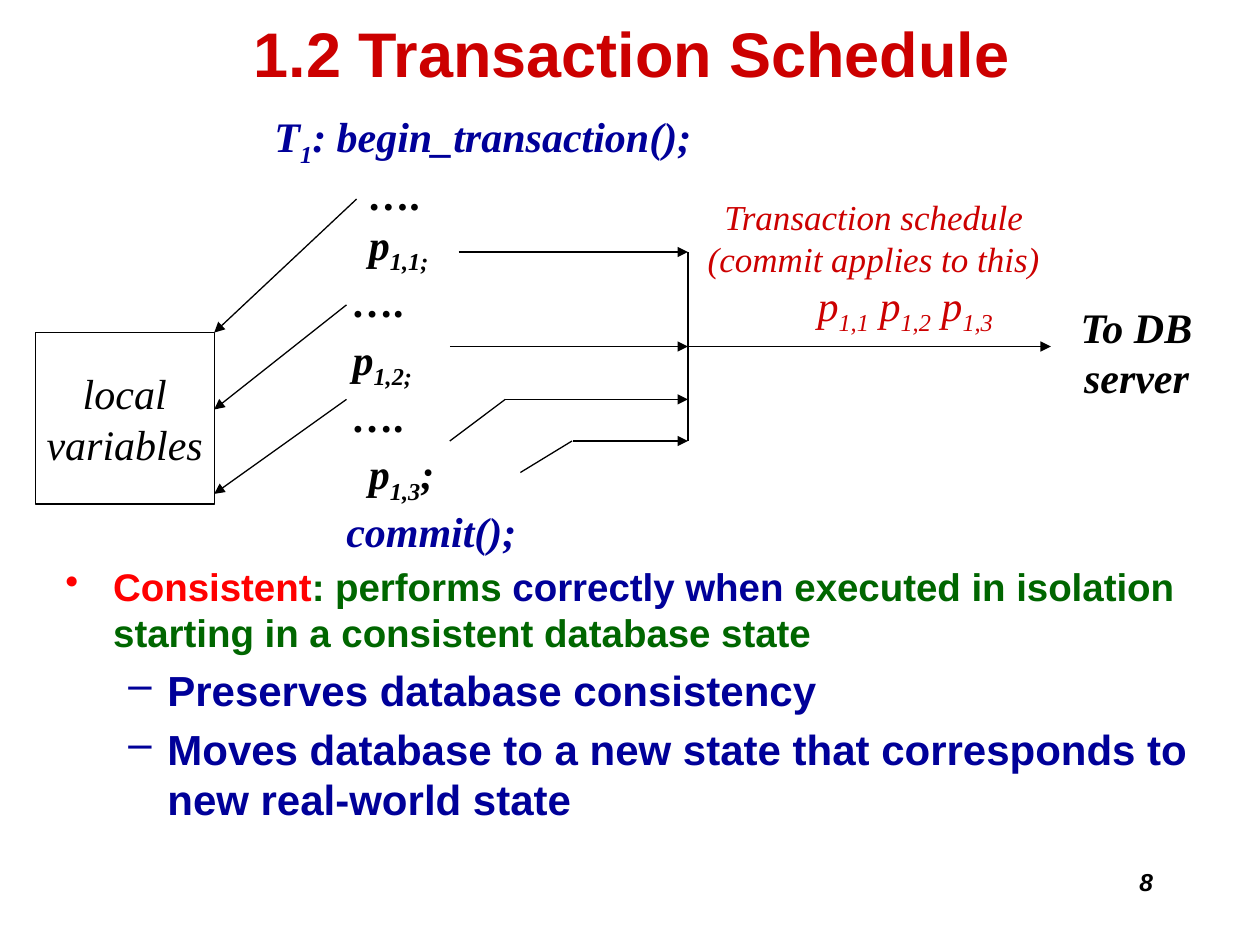
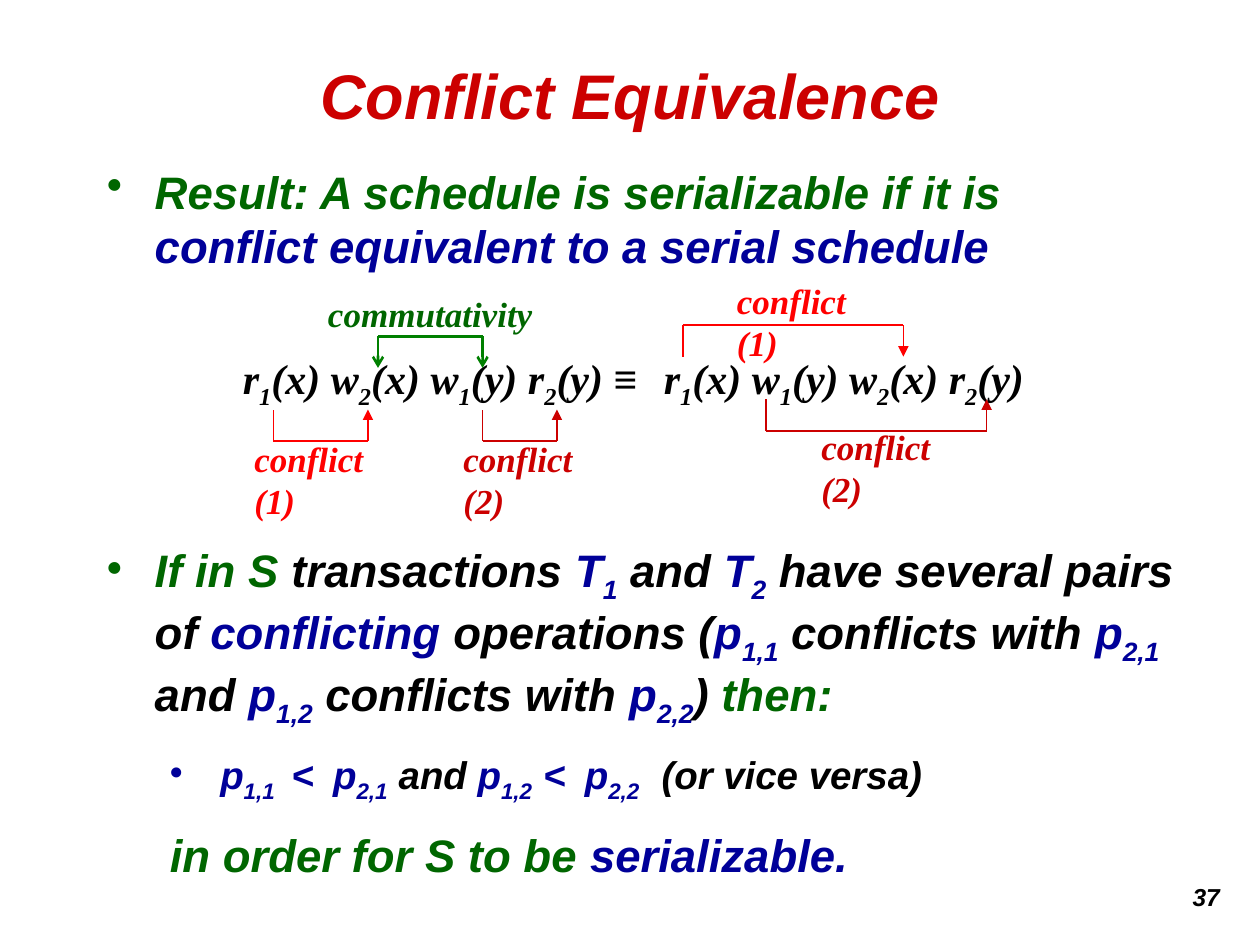
"""Build two lecture slides on transaction schedules and conflict equivalence."""
from dataclasses import dataclass
from lxml import etree
from pptx import Presentation
from pptx.dml.color import RGBColor
from pptx.enum import shapes, text
from pptx.oxml import ns
from pptx.util import Inches, Pt


@dataclass(frozen=True)
class Theme:
    black: str = "000000"
    white: str = "FFFFFF"
    title: str = "CC0000"
    red: str = "FF0000"
    blue: str = "000099"
    green: str = "006600"
    arrow_green: str = "008000"
    sans: str = "Arial"
    serif: str = "Times New Roman"
    title_size: int = 36
    result_size: int = 26
    code_size: int = 24
    body_size: int = 22
    label_size: int = 20
    number_size: int = 14
    thin: float = 0.75
    thick: float = 1.5


T = Theme()
LEFT, CENTER, RIGHT = text.PP_ALIGN.LEFT, text.PP_ALIGN.CENTER, text.PP_ALIGN.RIGHT
CODE = dict(name=T.serif, size=T.code_size, bold=True, italic=True)
PLAIN_CODE = dict(CODE, bold=False)
LABEL = dict(CODE, size=T.label_size)
BODY = dict(name=T.sans, size=T.body_size, bold=True)
SUB_BODY = dict(BODY, size=T.code_size, margin=0.81, hanging=0.31, bullet="–", before=5)
RESULT = dict(BODY, size=T.result_size, italic=True, margin=0.38, hanging=0.38, bullet="•")
NUMBER = dict(name=T.sans, size=T.number_size, bold=True, italic=True, align=RIGHT)

PROGRAM = [
    ("T{1}: begin_transaction();", T.blue, 0, 0),
    ("….", T.black, 0.75, 0),
    ("p{1,1;}", T.black, 0.75, 0),
    ("….", T.black, 0.62, 4),
    ("p{1,2;}", T.black, 0.62, 0),
    ("….", T.black, 0.62, 4),
    ("p{1,3};", T.black, 0.75, 0),
    ("commit();", T.blue, 0.57, 0),
]
CONSISTENT = [
    ([("Consistent", T.red), (": performs ", T.green), ("correctly when", T.blue),
      (" executed in isolation starting in a consistent database state", T.green)],
     dict(BODY, margin=0.38, hanging=0.38, bullet="•")),
    ([("Preserves database consistency", T.blue)], SUB_BODY),
    ([("Moves database to a new state that corresponds to new real-world state", T.blue)], SUB_BODY),
]
SCHEDULE = [
    ([("Transaction schedule", T.title)], dict(PLAIN_CODE, size=T.label_size, align=CENTER)),
    ([("(commit applies to this)", T.title)], dict(PLAIN_CODE, size=T.label_size, align=CENTER)),
    ([("p{1,1} p{1,2} p{1,3}", T.title)], dict(PLAIN_CODE, align=CENTER, margin=0.5)),
]
BUS = 5.46
VARIABLE_ARROWS = [((2.83, 1.58), (1.7, 2.64)), ((2.75, 2.42), (1.7, 3.25)), ((2.75, 3.17), (1.7, 3.92))]
BUS_ARROWS = [((x, y), (BUS, y)) for x, y in [(3.64, 2), (3.57, 2.75), (4.01, 3.17), (4.55, 3.5)]]
SERVER_ARROW = ((BUS, 2.75), (8.34, 2.75))
PLAIN_LINES = [((3.57, 3.5), (4.01, 3.17)), ((4.13, 3.75), (4.54, 3.5)), ((BUS, 2), (BUS, 3.5))]

EQUIVALENCE = [
    ([("Result: A schedule is serializable if it is ", T.green),
      ("conflict equivalent to a serial schedule", T.blue)], RESULT),
    ([("If in S ", T.green), ("transactions ", T.black), ("T{1}", T.blue), (" and ", T.black),
      ("T{2}", T.blue), (" have several pairs of ", T.black), ("conflicting", T.blue),
      (" operations (", T.black), ("p{1,1}", T.blue), (" conflicts with ", T.black),
      ("p{2,1}", T.blue), (" and ", T.black), ("p{1,2}", T.blue), (" conflicts with ", T.black),
      ("p{2,2}", T.blue), (")", T.black), (" then:", T.green)], dict(RESULT, before=154)),
    ([("p{1,1 } <\u2002p{2,1\u2002}", T.blue), ("and", T.black),
      (" p{1,2\u2002}<\u2002p{2,2\u2003}", T.blue), ("(or vice versa)", T.black)],
     dict(RESULT, size=T.body_size, margin=0.9, hanging=0.4, before=13)),
    ([("in order for S to be", T.green), (" serializable.", T.blue)],
     dict(RESULT, margin=0.5, hanging=0, bullet=None, before=13)),
]
FORMULAS = [
    ("r{1}(x) w{2}(x) w{1}(y) r{2}(y) ≡", (1.83, 2.75, 3.4, 0.5)),
    ("r{1}(x) w{1}(y) w{2}(x) r{2}(y)", (5.17, 2.75, 3.15, 0.5)),
]
CONFLICTS = [
    ("conflict(1)", T.red, (1.92, 3.42), (2.17, 2.92, 3.5, 3.25)),
    ("conflict(2)", T.title, (3.58, 3.42), (3.83, 4.42, 3.5, 3.25)),
    ("conflict(1)", T.red, (5.75, 2.17), (5.42, 7.17, 2.58, 2.83)),
    ("conflict(2)", T.title, (6.42, 3.33), (6.08, 7.83, 3.42, 3.17)),
]


def color(value):
    return RGBColor.from_string(value)


def write_paragraph(paragraph, pieces, name, size, bold=False, italic=False, align=LEFT,
                    margin=0, hanging=0, bullet=None, before=0, after=0):
    paragraph.alignment = align
    paragraph.space_before, paragraph.space_after = Pt(before), Pt(after)
    font = paragraph.font
    font.name, font.size, font.bold, font.italic = name, Pt(size), bold, italic
    font.color.rgb = color(pieces[0][1])
    properties = paragraph._p.get_or_add_pPr()
    properties.set("marL", str(Inches(margin)))
    properties.set("indent", str(-Inches(hanging)))
    if bullet:
        mark = etree.Element(ns.qn("a:buChar"), char=bullet)
        properties.find(ns.qn("a:defRPr")).addprevious(mark)
    for words, tint in pieces:
        for index, part in enumerate(words.replace("}", "{").split("{")):
            if part:
                run = paragraph.add_run()
                run.text = part
                if tint != pieces[0][1]:
                    run.font.color.rgb = color(tint)
                if index % 2:
                    run._r.get_or_add_rPr().set("baseline", "-25000")


def write(frame, paragraphs, anchor=text.MSO_ANCHOR.TOP, inset=None):
    frame.word_wrap = True
    frame.auto_size = text.MSO_AUTO_SIZE.NONE
    frame.vertical_anchor = anchor
    if inset is not None:
        frame.margin_left = frame.margin_right = Inches(inset)
        frame.margin_top = frame.margin_bottom = Inches(inset)
    for index, (pieces, style) in enumerate(paragraphs):
        paragraph = frame.add_paragraph() if index else frame.paragraphs[0]
        write_paragraph(paragraph, pieces, **style)


def add_text(slide, box, paragraphs, **options):
    write(slide.shapes.add_textbox(*map(Inches, box)).text_frame, paragraphs, **options)


def add_line(slide, start, end, tint=T.black, width=T.thin, head=None):
    line = slide.shapes.add_connector(shapes.MSO_CONNECTOR.STRAIGHT, *map(Inches, start + end))
    line.line.color.rgb = color(tint)
    line.line.width = Pt(width)
    if head:
        etree.SubElement(line.line._get_or_add_ln(), ns.qn("a:tailEnd"), type=head)
    etree.SubElement(line._element.spPr, ns.qn("a:effectLst"))


def add_bracket(slide, left, right, bar, tip, tint, width=T.thin, heads=(None, "triangle")):
    add_line(slide, (left, bar), (right, bar), tint, width)
    for x, head in zip((left, right), heads):
        add_line(slide, (x, bar), (x, tip), tint, width, head)


def add_slide(deck, heading, title_box, number, number_at, italic=False):
    slide = deck.slides.add_slide(deck.slide_layouts[5])
    title = slide.shapes.title
    title.left, title.top, title.width, title.height = map(Inches, title_box)
    style = dict(name=T.sans, size=T.title_size, bold=True, italic=italic, align=CENTER)
    write(title.text_frame, [([(heading, T.title)], style)], anchor=text.MSO_ANCHOR.MIDDLE)
    add_text(slide, (*number_at, 2.08, 0.5), [([(number, T.black)], NUMBER)])
    return slide


def build_schedule(deck):
    slide = add_slide(deck, "1.2 Transaction Schedule", (1.21, 0, 7.61, 0.83), "8", (7.17, 6.83))
    add_text(slide, (0.42, 4.42, 9.25, 2.75), CONSISTENT)
    add_text(slide, (2.08, 0.83, 3.6, 3.7),
             [([(words, tint)], dict(CODE, margin=margin, after=after))
              for words, tint, margin, after in PROGRAM])
    variables = slide.shapes.add_shape(shapes.MSO_SHAPE.RECTANGLE, *map(Inches, (0.28, 2.64, 1.42, 1.36)))
    variables.shadow.inherit = False
    variables.fill.solid()
    variables.fill.fore_color.rgb = color(T.white)
    variables.line.color.rgb = color(T.black)
    variables.line.width = Pt(T.thin)
    write(variables.text_frame,
          [([(word, T.black)], dict(PLAIN_CODE, align=CENTER)) for word in ("local", "variables")],
          anchor=text.MSO_ANCHOR.MIDDLE, inset=0)
    for start, end in VARIABLE_ARROWS + BUS_ARROWS + [SERVER_ARROW]:
        add_line(slide, start, end, head="triangle")
    for start, end in PLAIN_LINES:
        add_line(slide, start, end)
    add_text(slide, (5.45, 1.5, 2.97, 1.18), SCHEDULE)
    add_text(slide, (8.43, 2.34, 1.18, 0.84),
             [([(words, T.black)], dict(CODE, align=CENTER)) for words in ("To DB", "server")])


def build_equivalence(deck):
    slide = add_slide(deck, "Conflict Equivalence", (0.75, 0.33, 8.5, 0.83), "37", (7.7, 6.95), italic=True)
    add_text(slide, (0.75, 1.25, 8.67, 5.83), EQUIVALENCE)
    for words, box in FORMULAS:
        add_text(slide, box, [([(words, T.black)], CODE)])
    for words, tint, place, bracket in CONFLICTS:
        add_bracket(slide, *bracket, tint)
        add_text(slide, (*place, 1.1, 0.77), [([(words, tint)], LABEL)])
    add_text(slide, (2.5, 2.32, 1.83, 0.35),
             [([("commutativity", T.green)], dict(LABEL, align=CENTER))], inset=0)
    add_bracket(slide, 3, 3.83, 2.67, 2.92, T.arrow_green, T.thick, ("arrow", "arrow"))


deck = Presentation()
deck.slide_width, deck.slide_height = Inches(10), Inches(7.5)
build_schedule(deck)
build_equivalence(deck)
deck.save("out.pptx")
